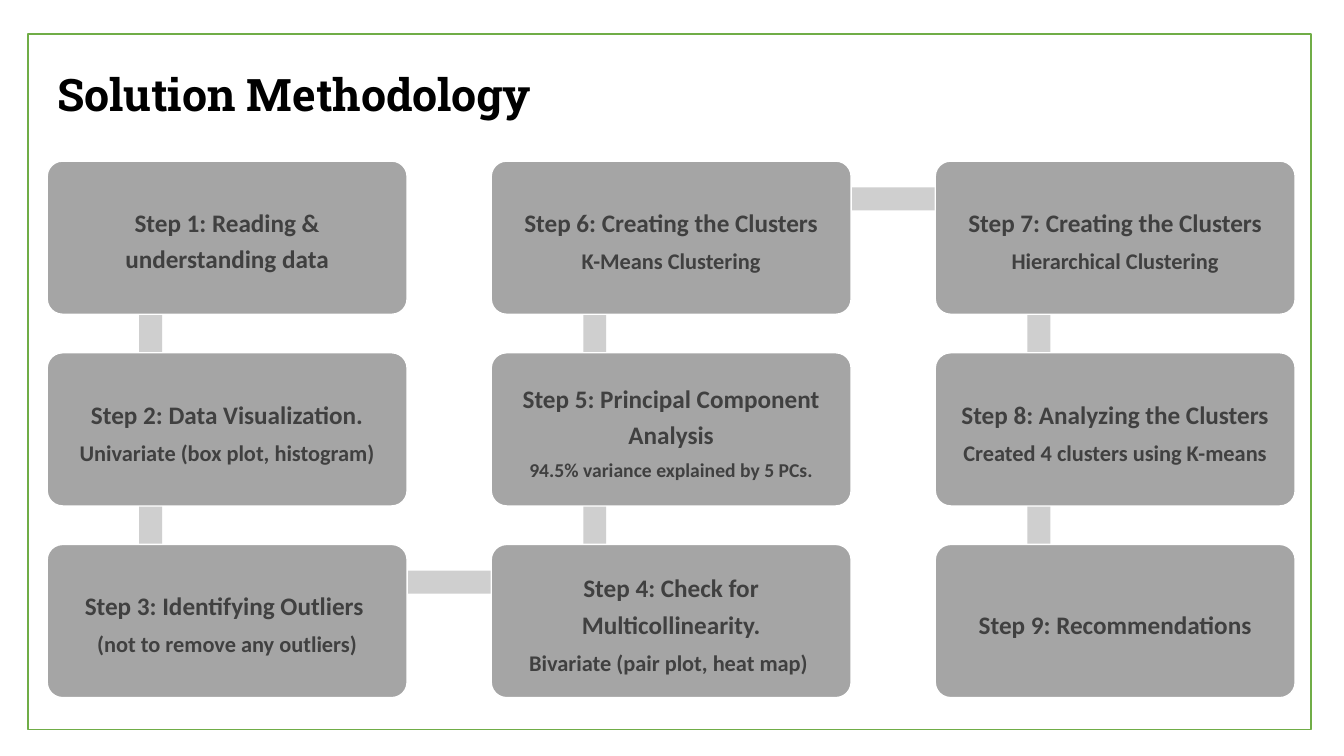
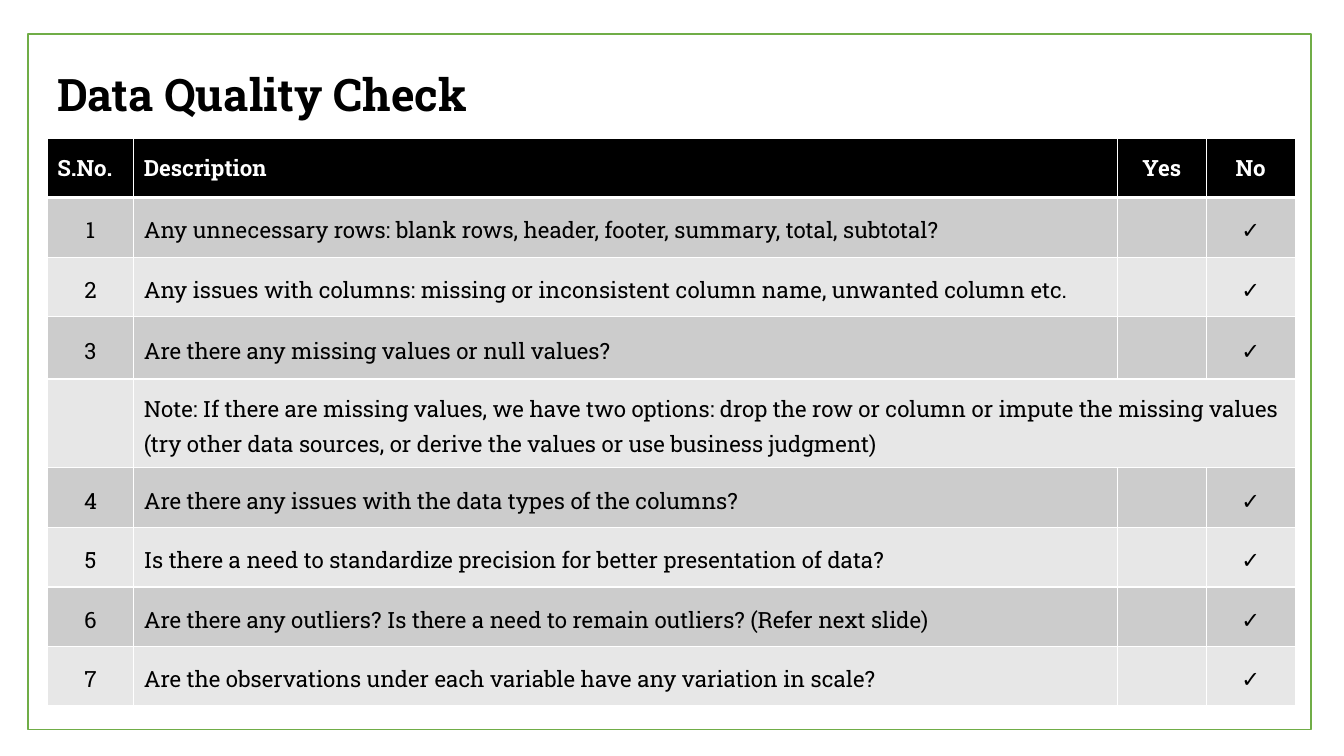
from dataclasses import dataclass
from itertools import pairwise

from lxml.etree import SubElement
from pptx import Presentation
from pptx.dml.color import RGBColor
from pptx.enum.shapes import MSO_SHAPE
from pptx.enum.text import MSO_ANCHOR, PP_ALIGN
from pptx.oxml.ns import qn
from pptx.shapes.autoshape import Shape
from pptx.slide import Slide
from pptx.table import _Cell
from pptx.text.text import _Paragraph
from pptx.util import Cm, Pt


@dataclass(frozen=True)
class Theme:
    heading_font: str = "Roboto Slab"
    step_font: str = "Calibri"
    title_size: float = 32
    step_size: float = 18
    table_size: float = 16
    black: str = "000000"
    white: str = "FFFFFF"
    frame: str = "70AD47"
    box: str = "A5A5A5"
    link: str = "CFCFCF"
    step_text: str = "404040"
    bands: tuple[str, str] = ("CCCCCC", "E7E7E7")


@dataclass(frozen=True)
class Step:
    column: int
    row: int
    heading: str
    detail: str = ""
    detail_size: float = 16


@dataclass(frozen=True)
class Check:
    number: str
    description: str
    height: float = 1.5
    is_note: bool = False


THEME = Theme()
MARGIN_LEFT = 1.19  # cm, shared by title, boxes and table

# Step grid, in cm
GRID_TOP = 4.06
COLUMN_PITCH, ROW_PITCH = 11.19, 4.83
BOX_WIDTH, BOX_HEIGHT = 9.07, 3.86
ANCHOR_X, ANCHOR_Y = 2.61, 0.95  # where links meet inside a box
LINK_WIDTH = 0.58

STEPS = [
    Step(0, 0, "Step 1: Reading & understanding data"),
    Step(0, 1, "Step 2: Data Visualization.", "Univariate (box plot, histogram)"),
    Step(0, 2, "Step 3: Identifying Outliers ", "(not to remove any outliers)"),
    Step(1, 2, "Step 4: Check for Multicollinearity.", "Bivariate (pair plot, heat map) "),
    Step(1, 1, "Step 5: Principal Component Analysis", "94.5% variance explained by 5 PCs.", 14),
    Step(1, 0, "Step 6: Creating the Clusters", "K-Means Clustering"),
    Step(2, 0, "Step 7: Creating the Clusters", "Hierarchical Clustering"),
    Step(2, 1, "Step 8: Analyzing the Clusters", "Created 4 clusters using K-means"),
    Step(2, 2, "Step 9: Recommendations"),
]

TABLE_TOP = 3.48
HEADER_HEIGHT = 1.5
COLUMN_WIDTHS = (2.18, 24.79, 2.24, 2.24)
HEADERS = ("S.No.", "Description", "Yes", "No")
CHECKS = [
    Check("1", "Any unnecessary rows: blank rows, header, footer, summary, total, subtotal?"),
    Check("2", "Any issues with columns: missing or inconsistent column name, unwanted column etc."),
    Check("3", "Are there any missing values or null values?", 1.57),
    Check("", "Note: If there are missing values, we have two options: drop the row or column or impute "
          "the missing values (try other data sources, or derive the values or use business judgment)",
          2.24, is_note=True),
    Check("4", "Are there any issues with the data types of the columns?"),
    Check("5", "Is there a need to standardize precision for better presentation of data?"),
    Check("6", "Are there any outliers? Is there a need to remain outliers? (Refer next slide)"),
    Check("7", "Are the observations under each variable have any variation in scale?"),
]


# Shared helpers
def style_paragraph(paragraph: _Paragraph, font: str, size: float, color: str, bold: bool,
                    align: PP_ALIGN = PP_ALIGN.LEFT, spacing: float = 1.0) -> None:
    paragraph.font.name = font
    paragraph.font.size = Pt(size)
    paragraph.font.bold = bold
    paragraph.font.color.rgb = RGBColor.from_string(color)
    paragraph.alignment = align
    paragraph.line_spacing = spacing


def add_block(slide: Slide, kind: MSO_SHAPE, left: float, top: float, width: float, height: float,
              fill: str = "", line: str = "") -> Shape:
    shape = slide.shapes.add_shape(kind, Cm(left), Cm(top), Cm(width), Cm(height))
    shape.shadow.inherit = False
    if fill:
        shape.fill.solid()
        shape.fill.fore_color.rgb = RGBColor.from_string(fill)
    else:
        shape.fill.background()
    if line:
        shape.line.color.rgb = RGBColor.from_string(line)
        shape.line.width = Pt(1)
    else:
        shape.line.fill.background()
    return shape


def add_framed_slide(presentation: Presentation, title: str) -> Slide:
    slide = presentation.slides.add_slide(presentation.slide_layouts[6])
    add_block(slide, MSO_SHAPE.RECTANGLE, 0.71, 0.86, 32.33, 17.53, line=THEME.frame)
    text_frame = slide.shapes.add_textbox(Cm(MARGIN_LEFT), Cm(1.4), Cm(31.45), Cm(2.11)).text_frame
    text_frame.word_wrap = True
    text_frame.vertical_anchor = MSO_ANCHOR.MIDDLE
    text_frame.text = title
    style_paragraph(text_frame.paragraphs[0], THEME.heading_font, THEME.title_size, THEME.black,
                    bold=True, spacing=0.9)
    return slide


# Methodology steps
def box_origin(step: Step) -> tuple[float, float]:
    return MARGIN_LEFT + step.column * COLUMN_PITCH, GRID_TOP + step.row * ROW_PITCH


def add_link(slide: Slide, start: Step, end: Step) -> None:
    (start_x, start_y), (end_x, end_y) = box_origin(start), box_origin(end)
    left, top = min(start_x, end_x) + ANCHOR_X, min(start_y, end_y) + ANCHOR_Y
    length_x, length_y = abs(end_x - start_x), abs(end_y - start_y)
    if start.column == end.column:
        left, length_x = left - LINK_WIDTH / 2, LINK_WIDTH
    else:
        top, length_y = top - LINK_WIDTH / 2, LINK_WIDTH
    add_block(slide, MSO_SHAPE.RECTANGLE, left, top, length_x, length_y, fill=THEME.link)


def add_step(slide: Slide, step: Step) -> None:
    box = add_block(slide, MSO_SHAPE.ROUNDED_RECTANGLE, *box_origin(step), BOX_WIDTH, BOX_HEIGHT,
                    fill=THEME.box, line=THEME.white)
    box.adjustments[0] = 0.1
    text_frame = box.text_frame
    text_frame.word_wrap = True
    text_frame.vertical_anchor = MSO_ANCHOR.MIDDLE
    text_frame.margin_left = text_frame.margin_right = Cm(0.18)
    text_frame.margin_top = text_frame.margin_bottom = Cm(0.18)
    lines = [(step.heading, THEME.step_size)]
    if step.detail:
        lines.append((step.detail, step.detail_size))
    text_frame.text = "\n".join(text for text, _ in lines)
    for paragraph, (_, size) in zip(text_frame.paragraphs, lines):
        style_paragraph(paragraph, THEME.step_font, size, THEME.step_text, True, PP_ALIGN.CENTER, 1.2)
        paragraph.space_after = Pt(3)


def build_methodology(presentation: Presentation) -> None:
    slide = add_framed_slide(presentation, "Solution Methodology")
    for start, end in pairwise(STEPS):
        add_link(slide, start, end)
    for step in STEPS:
        add_step(slide, step)


# Data quality table
def set_borders(cell: _Cell, top: float = 1, bottom: float = 1) -> None:
    properties = cell._tc.get_or_add_tcPr()
    edges = (("a:lnL", 1), ("a:lnR", 1), ("a:lnT", top), ("a:lnB", bottom))
    for position, (tag, width) in enumerate(edges):
        line = SubElement(properties, qn(tag), w=str(Pt(width)))
        SubElement(SubElement(line, qn("a:solidFill")), qn("a:srgbClr"), val=THEME.white)
        properties.insert(position, line)


def fill_cell(cell: _Cell, text: str, fill: str, align: PP_ALIGN, is_header: bool) -> None:
    cell.fill.solid()
    cell.fill.fore_color.rgb = RGBColor.from_string(fill)
    cell.vertical_anchor = MSO_ANCHOR.MIDDLE
    if text:
        cell.text = text
    style_paragraph(cell.text_frame.paragraphs[0], THEME.heading_font, THEME.table_size,
                    THEME.white if is_header else THEME.black, is_header, align,
                    1.0 if is_header else 1.2)


def build_quality_check(presentation: Presentation) -> None:
    slide = add_framed_slide(presentation, "Data Quality Check")
    heights = [HEADER_HEIGHT] + [check.height for check in CHECKS]
    table = slide.shapes.add_table(len(heights), len(COLUMN_WIDTHS), Cm(MARGIN_LEFT), Cm(TABLE_TOP),
                                   Cm(sum(COLUMN_WIDTHS)), Cm(sum(heights))).table
    table.horz_banding = False
    for column, width in zip(table.columns, COLUMN_WIDTHS):
        column.width = Cm(width)
    for row, height in zip(table.rows, heights):
        row.height = Cm(height)

    # Header row
    for index, header in enumerate(HEADERS):
        cell = table.cell(0, index)
        align = PP_ALIGN.LEFT if index < 2 else PP_ALIGN.CENTER
        fill_cell(cell, header, THEME.black, align, is_header=True)
        set_borders(cell, bottom=3)

    # Checks, in alternating bands
    for row_index, check in enumerate(CHECKS, start=1):
        if check.is_note:
            table.cell(row_index, 1).merge(table.cell(row_index, 3))
        values = (check.number, check.description, "", "" if check.is_note else "✓")
        for index, value in enumerate(values):
            cell = table.cell(row_index, index)
            align = PP_ALIGN.LEFT if index == 1 else PP_ALIGN.CENTER
            fill_cell(cell, value, THEME.bands[(row_index - 1) % 2], align, is_header=False)
            set_borders(cell, top=3 if row_index == 1 else 1)


def main() -> None:
    presentation = Presentation()
    presentation.slide_width, presentation.slide_height = Cm(33.87), Cm(19.05)
    build_methodology(presentation)
    build_quality_check(presentation)
    presentation.save("out.pptx")


if __name__ == "__main__":
    main()
